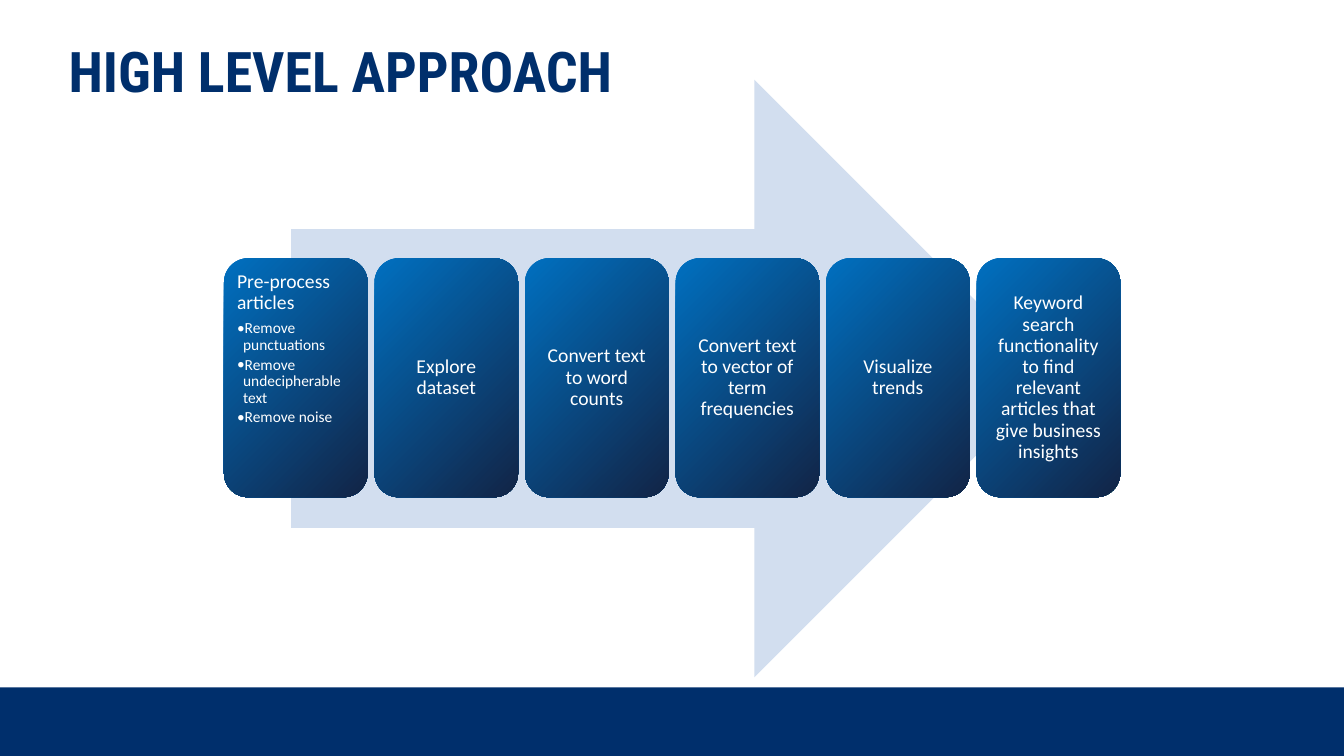
from dataclasses import dataclass

from lxml import etree
from pptx import Presentation
from pptx import util as u
from pptx.dml import color
from pptx.enum import shapes, text
from pptx.oxml import ns


@dataclass(frozen=True)
class Theme:
    """Colours, fonts and type sizes of the slide."""
    navy: str = "002F6C"
    pale: str = "D2DEEF"
    dark: str = "122446"
    bright: str = "0070C0"
    white: str = "FFFFFF"
    heading_font: str = "Roboto Condensed"
    body_font: str = "Calibri"
    heading_size: int = 40
    step_size: int = 14
    detail_size: int = 11
    leading: float = 0.9


class SlideBuilder:
    """Draws elements on one slide over a grid of 100 columns by 100 rows."""

    def __init__(self, deck, theme):
        """Add a title-only slide to the deck."""
        self.theme = theme
        self.column = deck.slide_width / 100
        self.row = deck.slide_height / 100
        self.page = deck.slides.add_slide(deck.slide_layouts[5])

    def area(self, left, top, width, height):
        """Turn grid columns and rows into slide lengths."""
        return (round(left * self.column), round(top * self.row),
                round(width * self.column), round(height * self.row))

    def style(self, para, font, size, hue, align, after=0):
        """Set the spacing, alignment and font of a paragraph."""
        para.alignment = align
        para.line_spacing = self.theme.leading
        para.space_before = u.Pt(0)
        para.space_after = u.Pt(after)
        para.font.name = font
        para.font.size = u.Pt(size)
        para.font.color.rgb = color.RGBColor.from_string(hue)

    def title(self, words, *grid):
        """Place and format the title placeholder."""
        box = self.page.shapes.title
        box.left, box.top, box.width, box.height = self.area(*grid)
        frame = box.text_frame
        frame.text = words
        frame.auto_size = text.MSO_AUTO_SIZE.NONE
        frame.vertical_anchor = text.MSO_ANCHOR.TOP
        para = frame.paragraphs[0]
        self.style(para, self.theme.heading_font, self.theme.heading_size,
                   self.theme.navy, text.PP_ALIGN.LEFT)
        para.font.bold = True

    def shape(self, kind, *grid, fill=None):
        """Add a preset shape without line or shadow."""
        box = self.page.shapes.add_shape(kind, *self.area(*grid))
        box.shadow.inherit = False
        box.line.fill.background()
        if fill:
            box.fill.solid()
            box.fill.fore_color.rgb = color.RGBColor.from_string(fill)
        return box

    def glow(self, box):
        """Fill a shape with a gradient that spreads from its lower right corner."""
        box.fill.gradient()
        for stop, hue in zip(box.fill.gradient_stops, (self.theme.dark, self.theme.bright)):
            stop.color.rgb = color.RGBColor.from_string(hue)
        gradient = box.element.spPr.find(ns.qn("a:gradFill"))
        linear = gradient.find(ns.qn("a:lin"))
        circle = etree.Element(ns.qn("a:path"), path="circle")
        etree.SubElement(circle, ns.qn("a:fillToRect"), l="100000", t="100000")
        gradient.replace(linear, circle)

    def bullet(self, para):
        """Give a paragraph a hanging bullet."""
        properties = para._p.get_or_add_pPr()
        indent = u.Inches(0.06)
        properties.set("marL", str(indent))
        properties.set("indent", str(-indent))
        etree.SubElement(properties, ns.qn("a:buFont"), typeface=self.theme.body_font)
        etree.SubElement(properties, ns.qn("a:buChar"), char="•")

    def card(self, step, details, *grid):
        """Add a rounded card with a step and its bulleted details."""
        box = self.shape(shapes.MSO_SHAPE.ROUNDED_RECTANGLE, *grid)
        self.glow(box)
        frame = box.text_frame
        frame.word_wrap = True
        frame.margin_left = frame.margin_right = u.Inches(0.06)
        frame.margin_top = frame.margin_bottom = u.Inches(0.06)
        frame.vertical_anchor = text.MSO_ANCHOR.TOP if details else text.MSO_ANCHOR.MIDDLE
        align = text.PP_ALIGN.LEFT if details else text.PP_ALIGN.CENTER
        para = frame.paragraphs[0]
        para.text = step
        self.style(para, self.theme.body_font, self.theme.step_size,
                   self.theme.white, align, after=5)
        for detail in details:
            para = frame.add_paragraph()
            para.text = detail
            self.bullet(para)
            self.style(para, self.theme.body_font, self.theme.detail_size,
                       self.theme.white, align, after=2)


STEPS = [
    ("Pre-process articles",
     ["Remove punctuations", "Remove undecipherable text", "Remove noise"]),
    ("Explore dataset", []),
    ("Convert text to word counts", []),
    ("Convert text to vector of term frequencies", []),
    ("Visualize trends", []),
    ("Keyword search functionality to find relevant articles that give business insights", []),
]


def main():
    """Build and save the slide."""
    deck = Presentation()
    deck.slide_width, deck.slide_height = u.Inches(13.33), u.Inches(7.5)
    theme = Theme()
    slide = SlideBuilder(deck, theme)
    slide.shape(shapes.MSO_SHAPE.RECTANGLE, 0, 90.93, 100, 9.07, fill=theme.navy)
    slide.title("HIGH LEVEL APPROACH", 4.35, 5.15, 65.2, 8.13)
    slide.shape(shapes.MSO_SHAPE.RIGHT_ARROW, 21.67, 10.53, 56.7, 79.07, fill=theme.pale)
    first_column, pitch = 16.67, 11.2
    for index, (step, details) in enumerate(STEPS):
        slide.card(step, details, first_column + index * pitch, 34.17, 10.68, 31.6)
    deck.save("out.pptx")


if __name__ == "__main__":
    main()
